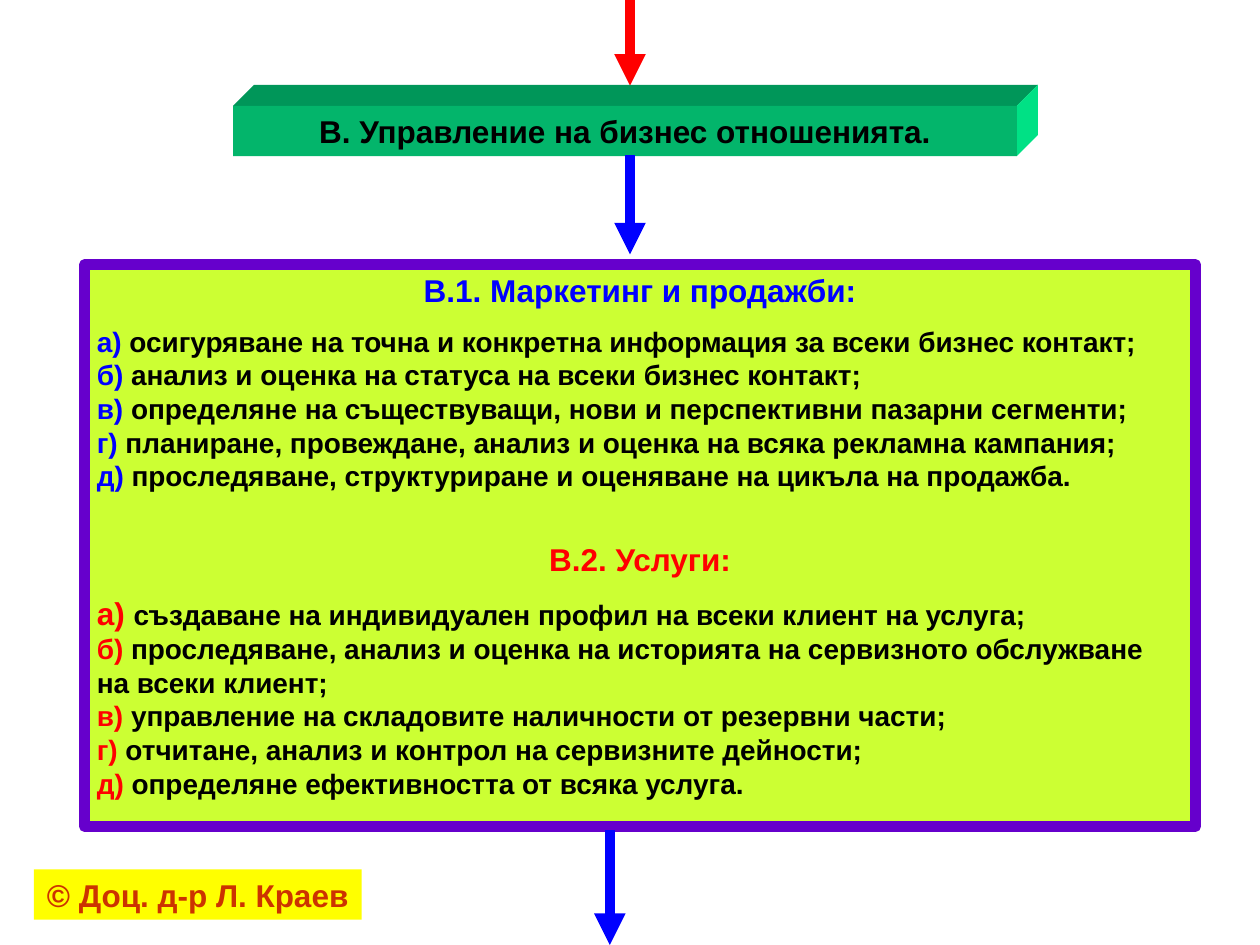
import pptx
import pptx.util
import pptx.dml.color
import pptx.enum.shapes
import pptx.enum.text
import pptx.oxml.ns
from lxml import etree

WIDTH = pptx.util.Inches(10)
HEIGHT = pptx.util.Inches(7.5)
CENTER = pptx.enum.text.PP_ALIGN.CENTER
LEFT = pptx.enum.text.PP_ALIGN.LEFT
BLACK, BLUE, RED = "000000", "0000FF", "FF0000"

MARKETING = [
    ("а)", " осигуряване на точна и конкретна информация за всеки бизнес контакт;"),
    ("б)", " анализ и оценка на статуса на всеки бизнес контакт;"),
    ("в)", " определяне на съществуващи, нови и перспективни пазарни сегменти;"),
    ("г)", " планиране, провеждане, анализ и оценка на всяка рекламна кампания;"),
    ("д)", " проследяване, структуриране и оценяване на цикъла на продажба."),
]
SERVICES = [
    ("а) ", "създаване на индивидуален профил на всеки клиент на услуга;"),
    ("б)", " проследяване, анализ и оценка на историята на сервизното обслужване на всеки клиент;"),
    ("в)", " управление на складовите наличности от резервни части;"),
    ("г)", " отчитане, анализ и контрол на сервизните дейности;"),
    ("д)", " определяне ефективността от всяка услуга."),
]


def color(value):
    return pptx.dml.color.RGBColor.from_string(value)


def across(percent):
    return round(WIDTH * percent / 100)


def down(percent):
    return round(HEIGHT * percent / 100)


def paint(shape, fill, border=None):
    shape.shadow.inherit = False
    shape.fill.solid()
    shape.fill.fore_color.rgb = color(fill)
    if border:
        shape.line.color.rgb = color(border)
        shape.line.width = pptx.util.Pt(6)
    else:
        shape.line.fill.background()


def add_panel(slide, box, fill, border=None):
    left, top, width, height = box
    panel = slide.shapes.add_shape(
        pptx.enum.shapes.MSO_SHAPE.RECTANGLE,
        across(left), down(top), across(width), down(height))
    paint(panel, fill, border)
    panel.text_frame.word_wrap = True
    panel.text_frame.vertical_anchor = pptx.enum.text.MSO_ANCHOR.TOP
    return panel


def add_run(paragraph, text, size, ink):
    run = paragraph.add_run()
    run.text = text
    run.font.name = "Arial"
    run.font.size = pptx.util.Pt(size)
    run.font.bold = True
    run.font.color.rgb = color(ink)


def add_heading(paragraph, text, ink):
    paragraph.alignment = CENTER
    add_run(paragraph, text, 18, ink)


def add_items(paragraph, items, ink, first_size):
    paragraph.alignment = LEFT
    paragraph.space_before = pptx.util.Pt(9)
    for index, (letter, wording) in enumerate(items):
        if index:
            paragraph.add_line_break()
        add_run(paragraph, letter, 16 if index else first_size, ink)
        add_run(paragraph, wording, 16, BLACK)


def add_arrow(slide, x, start, end, ink):
    arrow = slide.shapes.add_connector(
        pptx.enum.shapes.MSO_CONNECTOR.STRAIGHT,
        across(x), down(start), across(x), down(end))
    arrow.line.color.rgb = color(ink)
    arrow.line.width = pptx.util.Pt(6)
    qn = pptx.oxml.ns.qn
    etree.SubElement(arrow.line._get_or_add_ln(), qn("a:tailEnd"), type="triangle")
    etree.SubElement(arrow._element.spPr, qn("a:effectLst"))


def add_face(slide, corners, fill):
    points = [(across(x), down(y)) for x, y in corners]
    outline = slide.shapes.build_freeform(*points[0])
    outline.add_line_segments(points[1:], close=True)
    paint(outline.convert_to_shape(), fill)


def add_banner(slide, box):
    left, top, width, height = box
    right, bottom = left + width, top + height
    shift, rise = 1.67, 2.23
    add_face(slide, [(left, top), (left + shift, top - rise),
                     (right + shift, top - rise), (right, top)], "009659")
    add_face(slide, [(right, top), (right + shift, top - rise),
                     (right + shift, bottom - rise), (right, bottom)], "00E185")
    front = add_panel(slide, box, "03B56B")
    add_heading(front.text_frame.paragraphs[0], "В. Управление на бизнес отношенията.", BLACK)


def add_relations(slide, box):
    frame = add_panel(slide, box, "CCFF33", "6600CC").text_frame
    add_heading(frame.paragraphs[0], "В.1. Маркетинг и продажби:", BLUE)
    add_items(frame.add_paragraph(), MARKETING, BLUE, 16)
    services_heading = frame.add_paragraph()
    services_heading.space_before = pptx.util.Pt(27.5)
    add_heading(services_heading, "В.2. Услуги:", RED)
    add_items(frame.add_paragraph(), SERVICES, RED, 18)


def add_credit(slide, box):
    frame = add_panel(slide, box, "FFFF00").text_frame
    frame.word_wrap = False
    add_heading(frame.paragraphs[0], "© Доц. д-р Л. Краев", "CC3300")


def main():
    deck = pptx.Presentation()
    deck.slide_width, deck.slide_height = WIDTH, HEIGHT
    slide = deck.slides.add_slide(deck.slide_layouts[6])
    add_credit(slide, (2.7, 92, 26, 5.33))
    add_arrow(slide, 50, 0, 9.07, RED)
    add_banner(slide, (18.5, 11.2, 62.2, 5.33))
    add_relations(slide, (6.7, 28, 88.2, 59.47))
    add_arrow(slide, 50, 16.4, 26.93, BLUE)
    add_arrow(slide, 48.4, 87.87, 100, BLUE)
    deck.save("out.pptx")


if __name__ == "__main__":
    main()
